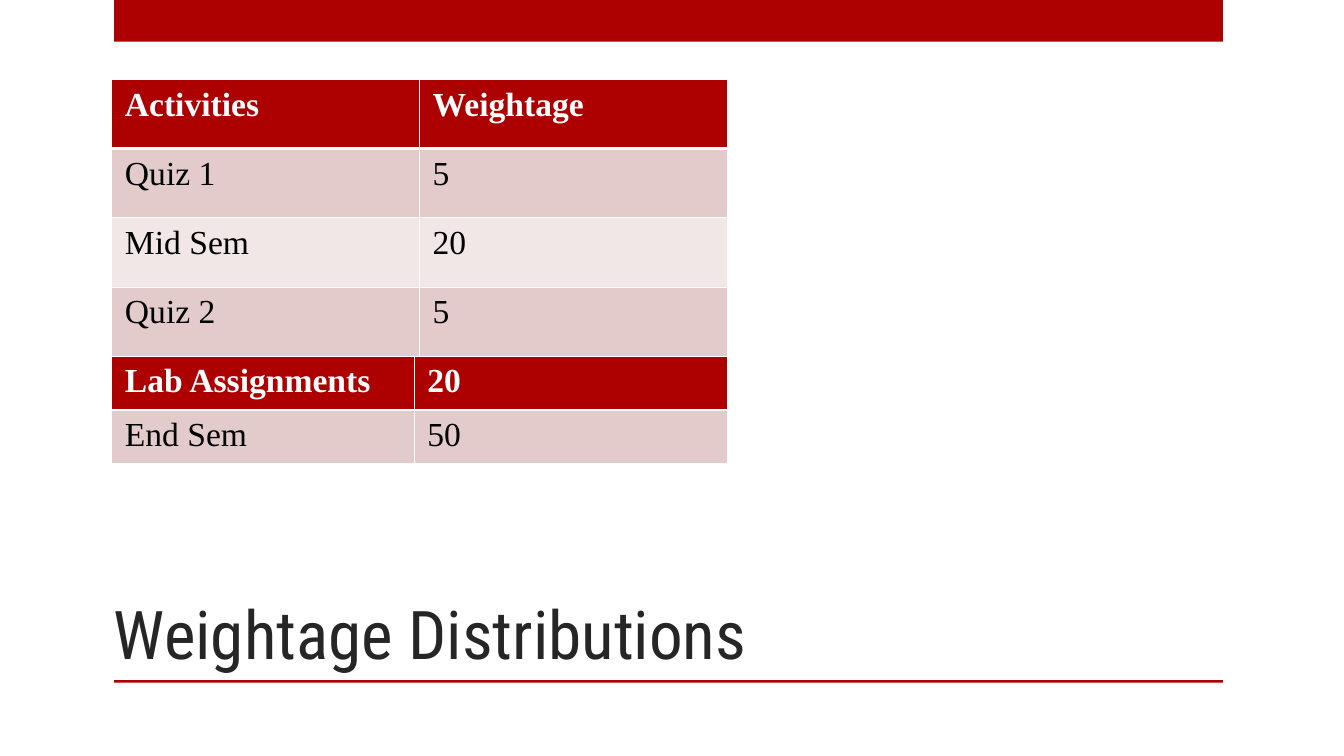
from lxml import etree
from pptx import Presentation
from pptx.dml.color import RGBColor as RGB
from pptx.enum.shapes import MSO_SHAPE as SHAPE
from pptx.enum.text import MSO_ANCHOR as ANCHOR
from pptx.oxml.ns import qn
from pptx.util import Inches, Pt

COLORS = {
    "red": "AD0101",
    "band_dark": "E3CBCB",
    "band_light": "F1E7E7",
    "white": "FFFFFF",
    "black": "000000",
    "title": "262626",
}
TITLE_FONT = "Roboto Condensed"
TABLE_FONT = "Times New Roman"
THIN, THICK = 0.45, 1.47


def color(name):
    return RGB.from_string(COLORS[name])


class SlideBuilder:
    def __init__(self, slide):
        self.slide = slide

    def bar(self, x, y, w, h):
        sp = self.slide.shapes.add_shape(
            SHAPE.RECTANGLE, Inches(x), Inches(y), Inches(w), Inches(h))
        sp.shadow.inherit = False
        sp.fill.solid()
        sp.fill.fore_color.rgb = color("red")
        sp.line.fill.background()

    def style(self, p, font, size, name, bold=False):
        p.font.name, p.font.size, p.font.bold = font, Pt(size), bold
        p.font.color.rgb = color(name)

    def title(self, text, x, y, w, h):
        sp = self.slide.shapes.add_textbox(
            Inches(x), Inches(y), Inches(w), Inches(h))
        tf = sp.text_frame
        tf.word_wrap = True
        tf.vertical_anchor = ANCHOR.BOTTOM
        p = tf.paragraphs[0]
        p.text = text
        self.style(p, TITLE_FONT, 36, "title")

    def borders(self, cell, row):
        """Draw white edges, thicker between the header and the first row."""
        tc_pr = cell._tc.get_or_add_tcPr()
        widths = {"a:lnL": THIN, "a:lnR": THIN,
                  "a:lnT": THICK if row == 1 else THIN,
                  "a:lnB": THICK if row == 0 else THIN}
        for tag, width in widths.items():
            ln = etree.SubElement(tc_pr, qn(tag), w=str(Pt(width)))
            fill = etree.SubElement(ln, qn("a:solidFill"))
            etree.SubElement(fill, qn("a:srgbClr"), val=COLORS["white"])

    def table(self, rows, x, y, col_widths, row_height):
        frame = self.slide.shapes.add_table(
            len(rows), len(col_widths), Inches(x), Inches(y),
            Inches(sum(col_widths)), Inches(row_height * len(rows)))
        table = frame.table
        for column, width in zip(table.columns, col_widths):
            column.width = Inches(width)
        for i, values in enumerate(rows):
            table.rows[i].height = Inches(row_height)
            header = i == 0
            band = "red" if header else "band_dark" if i % 2 else "band_light"
            for j, value in enumerate(values):
                cell = table.cell(i, j)
                self.borders(cell, i)
                cell.fill.solid()
                cell.fill.fore_color.rgb = color(band)
                p = cell.text_frame.paragraphs[0]
                p.text = value
                self.style(p, TABLE_FONT, 18,
                           "white" if header else "black", header)


def main():
    prs = Presentation()
    prs.slide_width = Inches(10)
    prs.slide_height = prs.slide_width * 9 // 16
    s = SlideBuilder(prs.slides.add_slide(prs.slide_layouts[6]))

    s.bar(0.85, 0, 8.25, 0.31)
    s.bar(0.85, 5.06, 8.25, 0.02)
    s.title("Weightage Distributions", 0.75, 4.31, 8.33, 0.75)

    activities = [("Activities", "Weightage"), ("Quiz 1", "5"),
                  ("Mid Sem", "20"), ("Quiz 2", "5")]
    s.table(activities, 0.83, 0.59, (2.29, 2.29), 2.06 / len(activities))
    s.table([("Lab Assignments", "20"), ("End Sem", "50")],
            0.83, 2.65, (2.25, 2.33), 0.4)

    prs.save("out.pptx")


if __name__ == "__main__":
    main()
